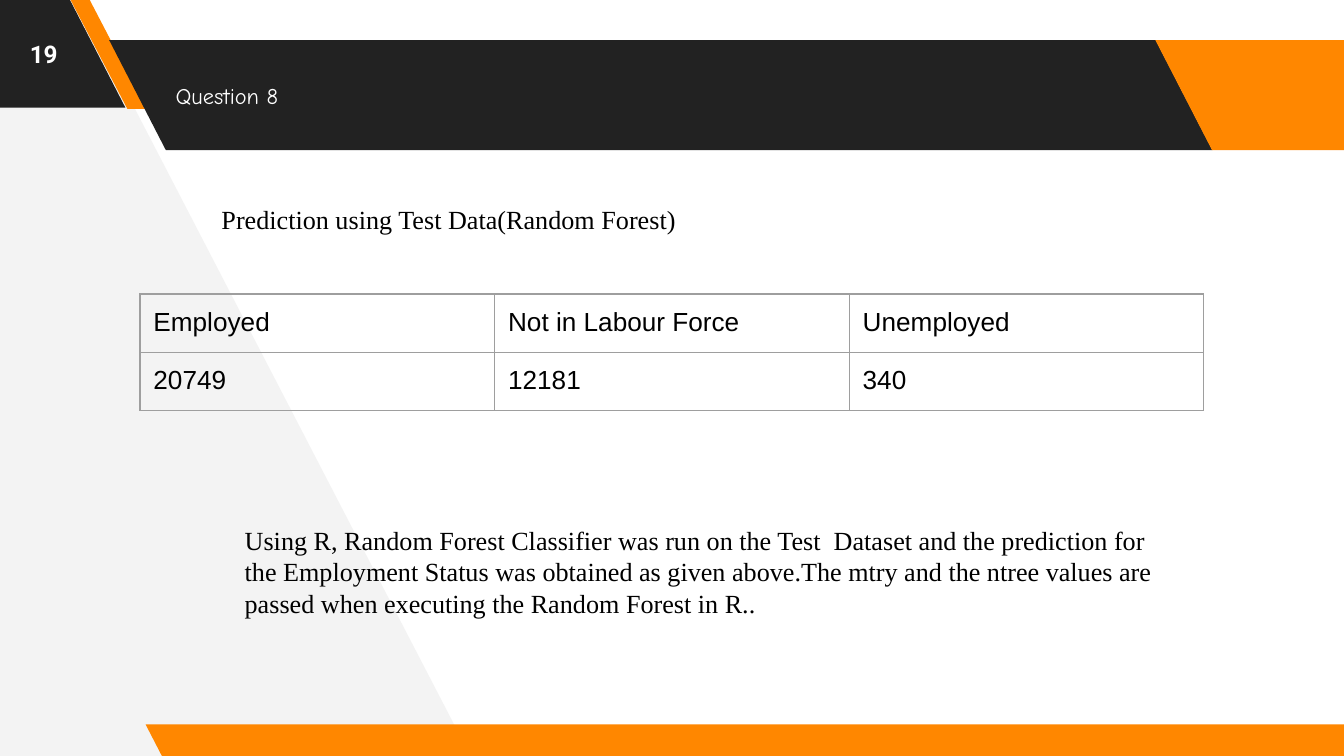
from lxml import etree
from pptx import Presentation
from pptx.dml.color import RGBColor
from pptx.enum.shapes import MSO_SHAPE
from pptx.enum.text import MSO_ANCHOR, PP_ALIGN
from pptx.oxml.ns import qn
from pptx.util import Pt

PARALLELOGRAM = MSO_SHAPE.PARALLELOGRAM
TOP, MIDDLE = MSO_ANCHOR.TOP, MSO_ANCHOR.MIDDLE
LEFT, CENTER = PP_ALIGN.LEFT, PP_ALIGN.CENTER
BLANK_LAYOUT = 6


def color(value):
    return RGBColor.from_string(value)


def write(frame, text, font="Times New Roman", size=14, ink="000000",
          bold=False, align=LEFT):
    paragraph = frame.paragraphs[0]
    paragraph.alignment = align
    run = paragraph.add_run()
    run.text = text
    run.font.name = font
    run.font.size = Pt(size)
    run.font.bold = bold
    run.font.color.rgb = color(ink)


class SlideBuilder:
    DARK, ORANGE, PALE = "222222", "FF8700", "F3F3F3"
    WHITE, GRID = "FFFFFF", "9E9E9E"
    INSET = 7.2

    def __init__(self, slide):
        self.slide = slide
        background = slide.background.fill
        background.solid()
        background.fore_color.rgb = color(self.WHITE)

    def paint(self, shape, fill):
        shape.shadow.inherit = False
        shape.fill.solid()
        shape.fill.fore_color.rgb = color(fill)
        shape.line.fill.background()

    def panel(self, points, fill):
        outline = self.slide.shapes.build_freeform(
            *(Pt(v) for v in points[0]), scale=1.0)
        outline.add_line_segments([(Pt(x), Pt(y)) for x, y in points[1:]])
        self.paint(outline.convert_to_shape(), fill)

    def band(self, x, y, width, height, fill, slant=0.515):
        band = self.slide.shapes.add_shape(
            PARALLELOGRAM, Pt(x), Pt(y), Pt(width), Pt(height))
        band.adjustments[0] = slant
        band.element.spPr.find(qn("a:xfrm")).set("flipH", "1")
        self.paint(band, fill)

    def text(self, text, x, y, width, height, anchor=TOP, **style):
        box = self.slide.shapes.add_textbox(Pt(x), Pt(y), Pt(width), Pt(height))
        frame = box.text_frame
        frame.word_wrap = True
        frame.vertical_anchor = anchor
        frame.margin_left = frame.margin_right = Pt(self.INSET)
        frame.margin_top = frame.margin_bottom = Pt(self.INSET)
        write(frame, text, **style)

    def border(self, cell):
        properties = cell._tc.get_or_add_tcPr()
        for position, side in enumerate(("a:lnL", "a:lnR", "a:lnT", "a:lnB")):
            line = etree.Element(qn(side), w=str(Pt(0.75)))
            fill = etree.SubElement(line, qn("a:solidFill"))
            etree.SubElement(fill, qn("a:srgbClr"), val=self.GRID)
            properties.insert(position, line)

    def table(self, rows, x, y, column_width, row_height, **style):
        columns = len(rows[0])
        table = self.slide.shapes.add_table(
            len(rows), columns, Pt(x), Pt(y),
            Pt(column_width * columns), Pt(row_height * len(rows))).table
        table.first_row = table.horz_banding = False
        for column in table.columns:
            column.width = Pt(column_width)
        for r, values in enumerate(rows):
            table.rows[r].height = Pt(row_height)
            for c, value in enumerate(values):
                cell = table.cell(r, c)
                cell.margin_left = cell.margin_right = Pt(self.INSET)
                cell.margin_top = cell.margin_bottom = Pt(self.INSET)
                cell.fill.background()
                write(cell.text_frame, value, **style)
                self.border(cell)


def main():
    deck = Presentation()
    deck.slide_width, deck.slide_height = Pt(720), Pt(405)
    page = SlideBuilder(deck.slides.add_slide(deck.slide_layouts[BLANK_LAYOUT]))

    # Slanted backdrop and bands
    page.panel([(252, 405), (40.5, -3), (-4.5, -3), (-1.5, 407.5)], page.PALE)
    page.band(-71.3, -1.4, 138.5, 59, page.DARK)
    page.band(37.5, -0.7, 41, 59, page.ORANGE, slant=0.75)
    page.band(58.5, 21.5, 591, 59, page.DARK)
    page.band(619, 21.5, 138.5, 59, page.ORANGE)
    page.band(78, 388, 659, 18, page.ORANGE)

    # Title and page number
    page.text("Question 8", 87, 21.5, 529, 59, anchor=MIDDLE,
              font="Comic Neue", size=12, ink=page.WHITE)
    page.text("19", 0, 0, 46.8, 57.6, anchor=MIDDLE, font="Roboto", size=13,
              ink=page.WHITE, bold=True, align=CENTER)

    # Prediction counts
    page.text("Prediction using Test Data(Random Forest)", 111.6, 101.5, 340.6, 33)
    page.table([("Employed", "Not in Labour Force", "Unemployed"),
                ("20749", "12181", "340")],
               75, 157.5, column_width=190, row_height=30, font="Arial")

    # Explanation
    page.text("Using R, Random Forest Classifier was run on the Test  Dataset and "
              "the prediction for the Employment Status was obtained as given "
              "above.The mtry and the ntree values are passed when executing the "
              "Random Forest in R..", 124, 273.6, 514, 74)

    deck.save("out.pptx")


if __name__ == "__main__":
    main()
